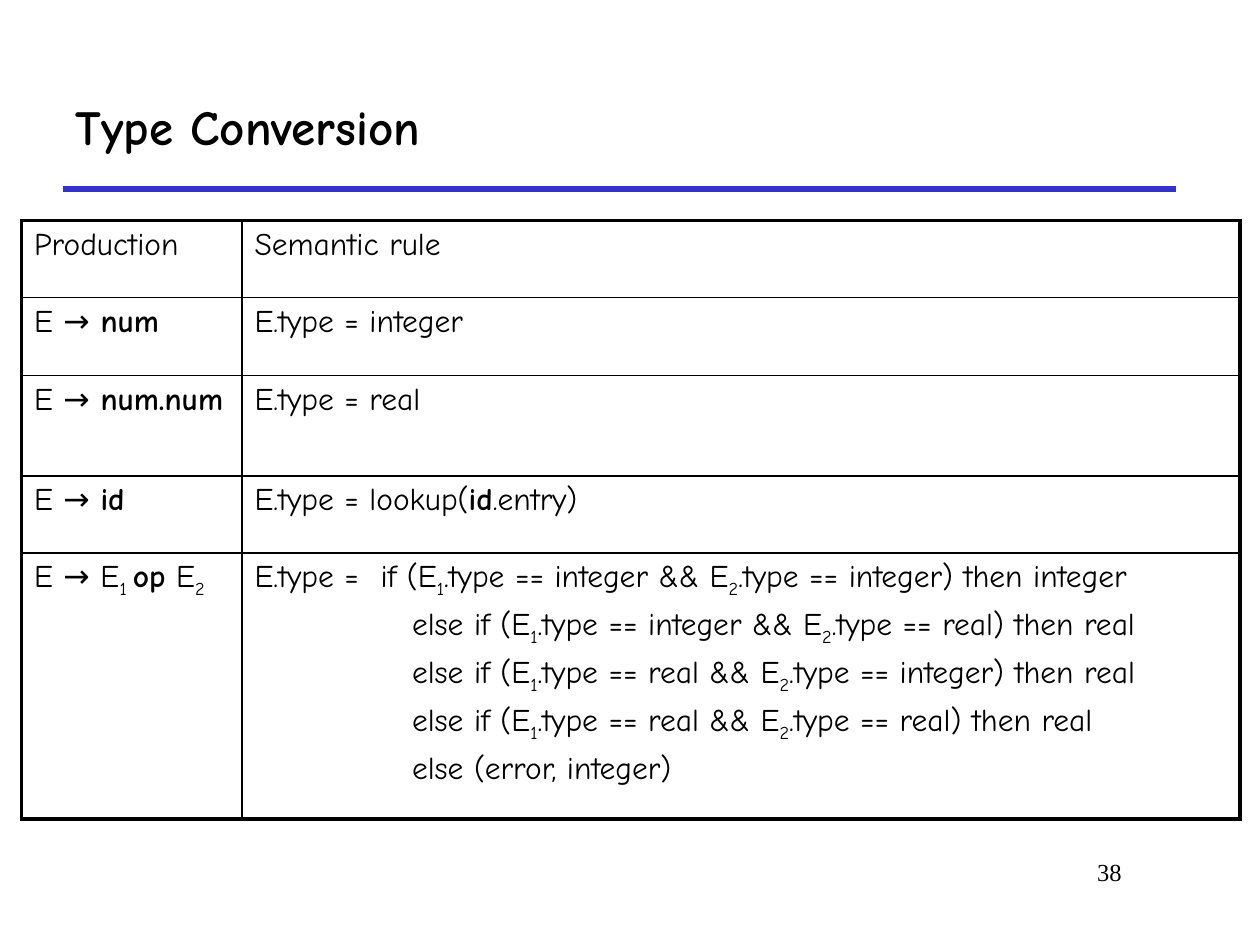
from lxml import etree
from pptx import Presentation, util as u
from pptx.dml.color import RGBColor
from pptx.enum import shapes, text
from pptx.oxml.ns import qn

FONT = "Comic Neue"
COLS = [1.75, 7.92]
ROWS = [0.61, 0.62, 0.8, 0.61, 2.11]
TAB, INDENT = 1.0, 1.25

# "|" parts runs; a leading "*" marks bold and "_" marks subscript
TEST = "else if (E|_1|.type == {} && E|_2|.type == {}) then {}"
RULES = [
    ("Production", ["Semantic rule"]),
    ("E → |*num", ["E.type = integer"]),
    ("E → |*num.num", ["E.type = real"]),
    ("E → |*id", ["E.type = lookup(|*id|.entry)"]),
    ("E → E|_1 |*op| E|_2", [
        "E.type =\t" + TEST.format("integer", "integer", "integer")[5:],
        TEST.format("integer", "real", "real"),
        TEST.format("real", "integer", "real"),
        TEST.format("real", "real", "real"),
        "else (error, integer)",
    ]),
]


def paint(color):
    return RGBColor.from_string(color)


def add_run(para, words, size, name=FONT, bold=False, sub=False):
    run = para.add_run()
    run.text = words
    font = run.font
    font.size, font.name, font.bold = u.Pt(size), name, bold
    font.color.rgb = paint("000000")
    if sub:
        run._r.get_or_add_rPr().set("baseline", "-25000")


def add_marked(para, line):
    for part in line.split("|"):
        add_run(para, part.lstrip("*_"), 18,
                bold=part.startswith("*"), sub=part.startswith("_"))


def set_tab(para):
    stops = etree.SubElement(para._p.get_or_add_pPr(), qn("a:tabLst"))
    etree.SubElement(stops, qn("a:tab"), pos=str(u.Inches(TAB)), algn="l")


def set_edges(cell, row, col):
    """Draw heavy lines on the table's rim and thin ones inside."""
    heavy = {"L": col == 0, "R": col == len(COLS) - 1,
             "T": row == 0, "B": row == len(ROWS) - 1}
    props = cell._tc.get_or_add_tcPr()
    for spot, (side, rim) in enumerate(heavy.items()):
        line = etree.Element(qn("a:ln" + side), w=str(u.Pt(2.25 if rim else 1)))
        fill = etree.SubElement(line, qn("a:solidFill"))
        etree.SubElement(fill, qn("a:srgbClr"), val="000000")
        props.insert(spot, line)


def fill_cell(cell, lines):
    cell.fill.background()
    frame = cell.text_frame
    for num, line in enumerate(lines):
        para = frame.add_paragraph() if num else frame.paragraphs[0]
        if num:
            para.space_before = u.Pt(4)
            para._p.get_or_add_pPr().set("marL", str(u.Inches(INDENT)))
        if "\t" in line:
            set_tab(para)
        add_marked(para, line)


def add_rules(slide):
    table = slide.shapes.add_table(
        len(ROWS), len(COLS), u.Inches(0.17), u.Inches(1.75),
        u.Inches(sum(COLS)), u.Inches(sum(ROWS))).table
    table.first_row = table.horz_banding = False
    for col, width in zip(table.columns, COLS):
        col.width = u.Inches(width)
    for row, height in zip(table.rows, ROWS):
        row.height = u.Inches(height)
    for row, (left, right) in enumerate(RULES):
        for col, lines in enumerate(([left], right)):
            cell = table.cell(row, col)
            fill_cell(cell, lines)
            set_edges(cell, row, col)


def add_title(slide, words):
    title = slide.shapes.title
    title.left, title.top = u.Inches(0.5), u.Inches(0.5)
    title.width, title.height = u.Inches(8.83), u.Inches(1)
    title.text_frame.vertical_anchor = text.MSO_ANCHOR.MIDDLE
    para = title.text_frame.paragraphs[0]
    para.alignment = text.PP_ALIGN.LEFT
    add_run(para, words, 28, bold=True)


def add_line(slide):
    line = slide.shapes.add_connector(
        shapes.MSO_CONNECTOR.STRAIGHT, u.Inches(0.5), u.Inches(1.5),
        u.Inches(9.33), u.Inches(1.5))
    line.line.color.rgb = paint("3333CC")
    line.line.width = u.Pt(3)
    etree.SubElement(line._element.spPr, qn("a:effectLst"))


def add_number(slide, words):
    box = slide.shapes.add_textbox(
        u.Inches(6.92), u.Inches(6.75), u.Inches(2.08), u.Inches(0.5))
    box.text_frame.word_wrap = True
    para = box.text_frame.paragraphs[0]
    para.alignment = text.PP_ALIGN.RIGHT
    add_run(para, words, 14, "Times New Roman")


def main():
    deck = Presentation()
    deck.slide_width, deck.slide_height = u.Inches(10), u.Inches(7.5)
    slide = deck.slides.add_slide(deck.slide_layouts[5])
    add_line(slide)
    add_number(slide, "38")
    add_title(slide, "Type Conversion")
    add_rules(slide)
    deck.save("out.pptx")


if __name__ == "__main__":
    main()
